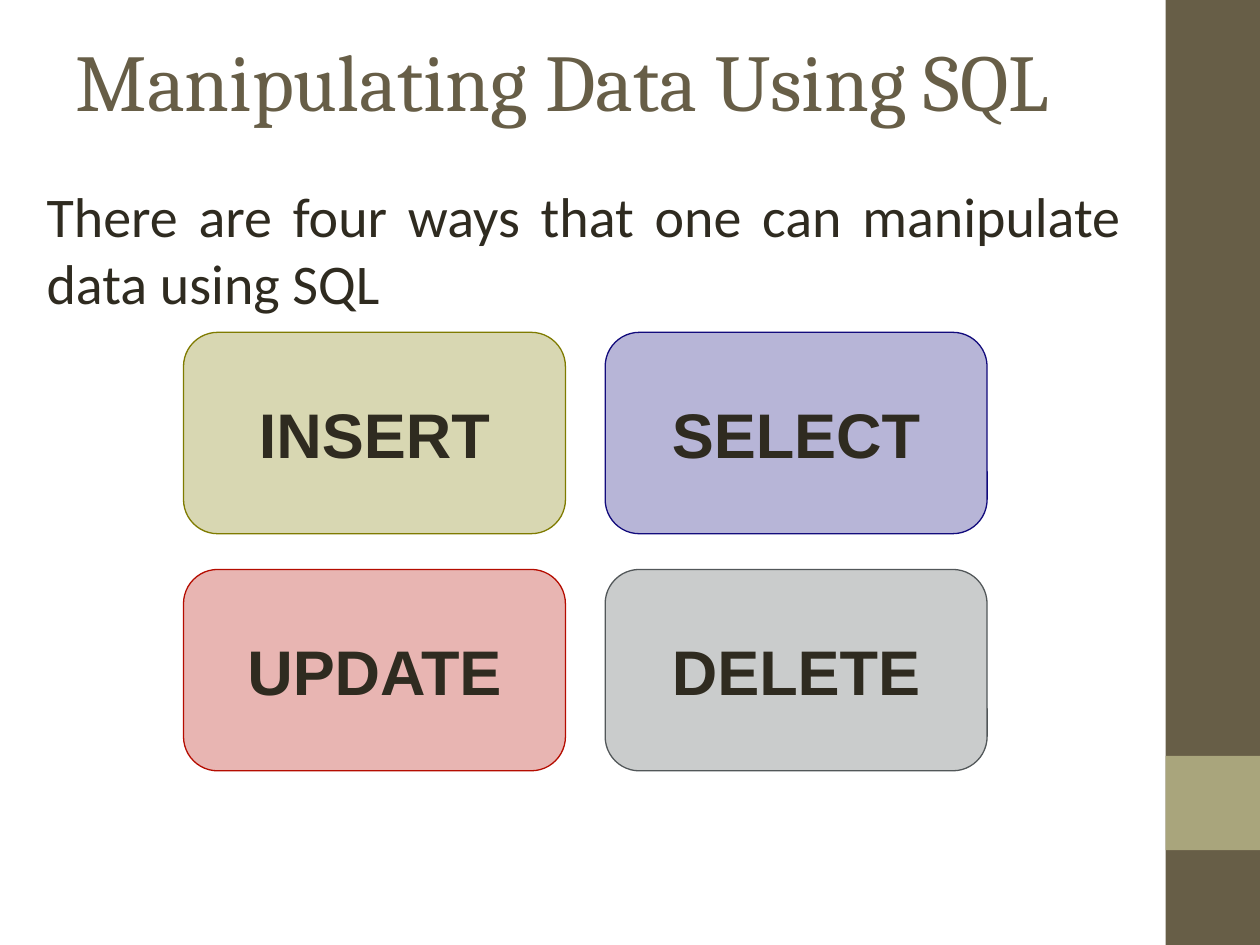
from lxml import etree
from pptx import Presentation
from pptx.dml.color import RGBColor
from pptx.enum.shapes import MSO_SHAPE
from pptx.enum.text import MSO_ANCHOR, PP_ALIGN
from pptx.oxml.ns import qn
from pptx.util import Cm, Pt

RECTANGLE, ROUNDED = MSO_SHAPE.RECTANGLE, MSO_SHAPE.ROUNDED_RECTANGLE
TOP, MIDDLE = MSO_ANCHOR.TOP, MSO_ANCHOR.MIDDLE
LEFT, CENTER, JUSTIFY = PP_ALIGN.LEFT, PP_ALIGN.CENTER, PP_ALIGN.JUSTIFY

BROWN = RGBColor(0x67, 0x5E, 0x47)
SAGE = RGBColor(0xA9, 0xA5, 0x7C)
INK = RGBColor(0x2F, 0x2B, 0x20)
OLIVE = RGBColor(0x7F, 0x7B, 0x00)
NAVY = RGBColor(0x12, 0x0B, 0x7C)
RED = RGBColor(0xB5, 0x0C, 0x00)
GREY = RGBColor(0x52, 0x57, 0x59)

TITLE_FONT = {"name": "Cambria", "size": Pt(46), "bold": False}
INTRO_FONT = {"name": "Calibri", "size": Pt(32)}
COMMAND_FONT = {"name": "Arial", "size": Pt(36), "bold": True}
COMMANDS = [("INSERT", OLIVE), ("SELECT", NAVY), ("UPDATE", RED), ("DELETE", GREY)]


def write(frame, text, font_format, color, align, anchor):
    frame.word_wrap = True
    frame.vertical_anchor = anchor
    paragraph = frame.paragraphs[0]
    paragraph.text = text
    paragraph.alignment = align
    for attribute, value in font_format.items():
        setattr(paragraph.font, attribute, value)
    paragraph.font.color.rgb = color


def add_block(slide, preset, box, color):
    block = slide.shapes.add_shape(preset, *box)
    block.shadow.inherit = False
    block.fill.solid()
    block.fill.fore_color.rgb = color
    return block


def add_sidebar(slide, left, top, width, height):
    accent_top = top + int(height * 0.8)
    for box, color in [
        ((left, top, width, height), BROWN),
        ((left, accent_top, width, width), SAGE),
    ]:
        add_block(slide, RECTANGLE, box, color).line.fill.background()


def place_title(slide, left, top, width, height):
    title = slide.shapes.title
    box = {"left": left, "top": top, "width": width, "height": height}
    for attribute, value in box.items():
        setattr(title, attribute, value)
    write(title.text_frame, "Manipulating Data Using SQL", TITLE_FONT, BROWN, LEFT, MIDDLE)


def add_intro(slide, left, top, width, height):
    intro = slide.shapes.add_textbox(left, top, width, height)
    write(
        intro.text_frame,
        "There are four ways that one can manipulate data using SQL",
        INTRO_FONT, INK, JUSTIFY, TOP,
    )


def add_command_grid(slide, left, top, width, height):
    card_width, card_height = Cm(7.7), Cm(4.06)
    column_step, row_step = width - card_width, height - card_height
    for index, (command, color) in enumerate(COMMANDS):
        row, column = divmod(index, 2)
        box = (left + column * column_step, top + row * row_step, card_width, card_height)
        card = add_block(slide, ROUNDED, box, color)
        card.adjustments[0] = 0.17
        card.line.color.rgb = color
        card.line.width = Pt(0.75)
        fill_color = card.fill._xPr.find(qn("a:solidFill"))[0]
        etree.SubElement(fill_color, qn("a:alpha"), val="30000")
        write(card.text_frame, command, COMMAND_FONT, INK, CENTER, MIDDLE)


def main():
    deck = Presentation()
    deck.slide_width, deck.slide_height = Cm(25.4), Cm(19.05)
    slide = deck.slides.add_slide(deck.slide_layouts[5])
    add_sidebar(slide, Cm(23.5), Cm(0), Cm(1.9), deck.slide_height)
    place_title(slide, Cm(1.27), Cm(0), Cm(21.16), Cm(3.18))
    add_intro(slide, Cm(0.69), Cm(3.53), Cm(22.17), Cm(3))
    add_command_grid(slide, Cm(3.7), Cm(6.7), Cm(16.2), Cm(8.84))
    deck.save("out.pptx")


if __name__ == "__main__":
    main()
